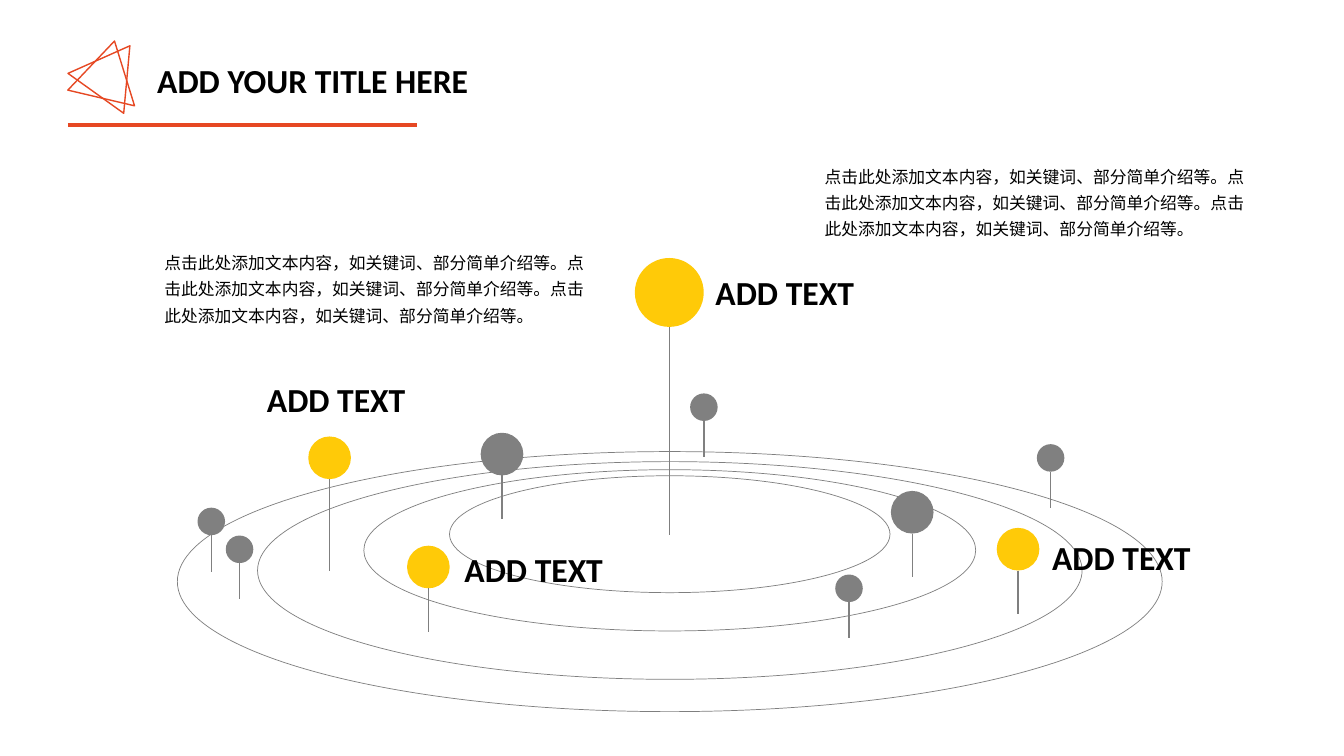
from dataclasses import dataclass

import pptx
import pptx.dml.color
import pptx.enum.shapes
import pptx.enum.text
import pptx.oxml
import pptx.oxml.ns
import pptx.util
from lxml import etree

COLUMNS, ROWS = 80, 45
CELL = pptx.util.Pt(12)  # square grid cell
FONT = "Calibri"
COLORS = {
    "accent": "E64823",
    "gold": "FFCA08",
    "grey": "808080",
    "line": "7F7F7F",
    "text": "000000",
}
TITLE = "ADD YOUR TITLE HERE"
LABEL = "ADD TEXT"
DESCRIPTION = "点击此处添加文本内容，如关键词、部分简单介绍等。" * 3
CENTER = 39.87  # column on which all rings are centred


@dataclass(frozen=True)
class Box:
    column: float
    row: float
    width: float
    height: float


@dataclass(frozen=True)
class Ring:
    row: float
    width: float
    height: float


@dataclass(frozen=True)
class Pin:
    column: float
    row: float
    color: str
    size: float = 2.54
    stem: float = 2.57


def small_pin(column: float, row: float) -> Pin:
    return Pin(column, row, "grey", 1.64, 2.16)


RINGS = [
    Ring(28.32, 26.22, 6.96),
    Ring(27.96, 36.42, 9.6),
    Ring(27.48, 49.08, 12.96),
    Ring(26.88, 58.62, 15.48),
]
PINS = [
    Pin(39.84, 15.36, "gold", 4.1, 12.36),
    Pin(19.62, 25.98, "gold", stem=5.48),
    Pin(60.6, 31.42, "gold"),
    Pin(25.5, 32.48, "gold"),
    Pin(54.3, 29.22, "grey"),
    Pin(29.88, 25.76, "grey"),
    small_pin(50.54, 34.2),
    small_pin(41.9, 23.42),
    small_pin(12.58, 30.22),
    small_pin(14.26, 31.88),
    small_pin(62.54, 26.44),
]
LABELS = [Box(column, row, 10.98, 3) for column, row in
          [(42, 15.9), (62.04, 31.68), (27.06, 32.4), (15.3, 22.26)]]
DESCRIPTIONS = [Box(column, row, 26.52, 5.34) for column, row in
                [(9.18, 14.4), (48.48, 9.24)]]
EMBLEM = [(Box(4.68, 2.4, 4.08, 3.48), 35.6), (Box(4.38, 2.4, 4.08, 3.48), 13.2)]


def grid(cells: float) -> pptx.util.Emu:
    return pptx.util.Emu(round(cells * CELL))


def rgb(name: str) -> pptx.dml.color.RGBColor:
    return pptx.dml.color.RGBColor.from_string(COLORS[name])


def place(shape, box: Box) -> None:
    shape.left, shape.top = grid(box.column), grid(box.row)
    shape.width, shape.height = grid(box.width), grid(box.height)


def add_outline(shapes, kind, box: Box, color: str, points: float):
    """Add an unfilled preset shape."""
    outline = shapes.add_shape(kind, *map(grid, (box.column, box.row, box.width, box.height)))
    outline.shadow.inherit = False
    outline.fill.background()
    outline.line.color.rgb = rgb(color)
    outline.line.width = pptx.util.Pt(points)
    return outline


def add_line(shapes, start: tuple[float, float], end: tuple[float, float],
             color: str, points: float) -> None:
    line = shapes.add_connector(pptx.enum.shapes.MSO_CONNECTOR.STRAIGHT,
                                *map(grid, (*start, *end)))
    line.line.color.rgb = rgb(color)
    line.line.width = pptx.util.Pt(points)
    etree.SubElement(line._element.spPr, pptx.oxml.ns.qn("a:effectLst"))


def add_pin(shapes, pin: Pin) -> None:
    pin_group = shapes.add_group_shape().shapes
    head = pin_group.add_shape(
        pptx.enum.shapes.MSO_SHAPE.OVAL,
        *map(grid, (pin.column - pin.size / 2, pin.row, pin.size, pin.size)))
    head.shadow.inherit = False
    head.fill.solid()
    head.fill.fore_color.rgb = rgb(pin.color)
    head.line.fill.background()
    neck = pin.row + pin.size
    add_line(pin_group, (pin.column, neck), (pin.column, neck + pin.stem),
             "line" if pin.color == "gold" else "grey", 1)


def write(shape, box: Box, wording: str, size: float, bold: bool):
    """Place a text shape, fill it in and return its paragraph."""
    place(shape, box)
    frame = shape.text_frame
    frame.text = wording
    frame.word_wrap = True
    frame.auto_size = pptx.enum.text.MSO_AUTO_SIZE.NONE
    frame.vertical_anchor = pptx.enum.text.MSO_ANCHOR.TOP
    paragraph = frame.paragraphs[0]
    paragraph.alignment = pptx.enum.text.PP_ALIGN.LEFT
    paragraph.space_before = pptx.util.Pt(0)
    paragraph.font.name = FONT
    paragraph.font.size = pptx.util.Pt(size)
    paragraph.font.bold = bold
    paragraph.font.color.rgb = rgb("text")
    return paragraph


def write_description(placeholder, box: Box) -> None:
    paragraph = write(placeholder, box, DESCRIPTION, 12, False)
    paragraph.line_spacing = 1.3
    properties = paragraph._p.get_or_add_pPr()
    properties.set("marL", "0")
    properties.set("indent", "0")
    bullet = pptx.oxml.parse_xml(f'<a:buNone {pptx.oxml.ns.nsdecls("a")}/>')
    properties.insert_element_before(bullet, "a:tabLst", "a:defRPr", "a:extLst")


def main() -> None:
    deck = pptx.Presentation()
    deck.slide_width, deck.slide_height = grid(COLUMNS), grid(ROWS)
    slide = deck.slides.add_slide(deck.slide_layouts.get_by_name("Two Content"))
    shapes = slide.shapes

    write(shapes.title, Box(8.76, 3.24, 21.6, 3), TITLE, 24, True)
    for index, box in enumerate(DESCRIPTIONS, start=1):
        write_description(slide.placeholders[index], box)

    emblem = shapes.add_group_shape().shapes
    for box, angle in EMBLEM:
        triangle = add_outline(emblem, pptx.enum.shapes.MSO_SHAPE.ISOSCELES_TRIANGLE,
                               box, "accent", 1)
        triangle.rotation = angle
    add_line(shapes, (4.04, 7.46), (24.84, 7.46), "accent", 3)

    rings = shapes.add_group_shape().shapes
    for ring in RINGS:
        box = Box(CENTER - ring.width / 2, ring.row, ring.width, ring.height)
        add_outline(rings, pptx.enum.shapes.MSO_SHAPE.OVAL, box, "line", 0.5)
    for pin in PINS:
        add_pin(shapes, pin)
    for box in LABELS:
        write(shapes.add_textbox(0, 0, 0, 0), box, LABEL, 24, True)

    deck.save("out.pptx")


if __name__ == "__main__":
    main()
